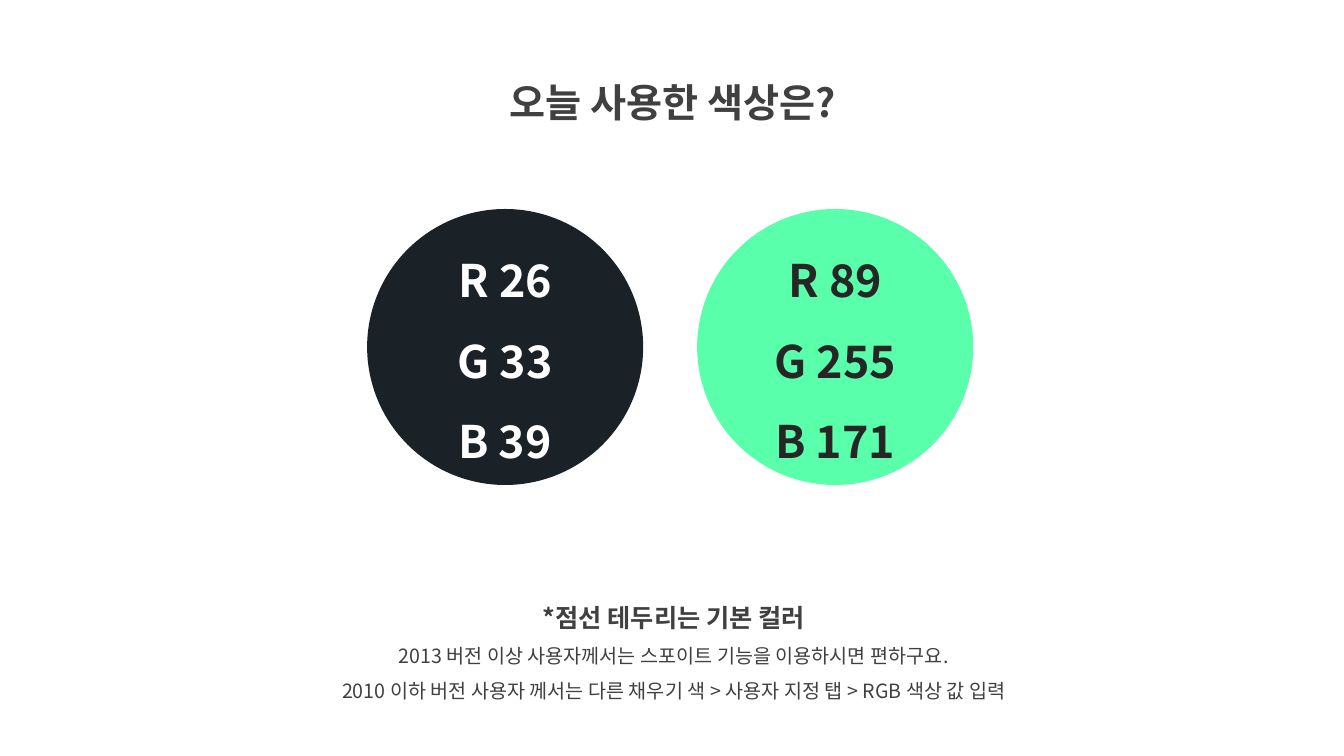
import pptx
import pptx.dml.color
import pptx.enum.shapes
import pptx.enum.text
import pptx.oxml.ns
import pptx.util
from lxml import etree


def color(value):
    return pptx.dml.color.RGBColor.from_string(value)


def px(n):
    return pptx.util.Emu(round(n * 914400 / 100.8))


class Deck:
    font = "Noto Sans CJK KR"
    ink = "404040"
    spacing = 1.5

    def __init__(self):
        self.prs = pptx.Presentation()
        self.prs.slide_width = pptx.util.Inches(13.33)
        self.prs.slide_height = pptx.util.Inches(7.5)
        self.s = self.prs.slides.add_slide(self.prs.slide_layouts[6])

    def fill_text(self, tf, lines, ink):
        tf.word_wrap = True
        for i, (text, size, bold) in enumerate(lines):
            p = tf.add_paragraph() if i else tf.paragraphs[0]
            p.text = text
            p.alignment = pptx.enum.text.PP_ALIGN.CENTER
            p.line_spacing = self.spacing
            p.font.name = self.font
            p.font.size = pptx.util.Pt(size)
            p.font.bold = bold
            p.font.color.rgb = color(ink)
            latin = p.font._element.find(pptx.oxml.ns.qn("a:latin"))
            ea = etree.Element(pptx.oxml.ns.qn("a:ea"), typeface=self.font)
            latin.addnext(ea)

    def text(self, x, y, w, h, lines):
        sp = self.s.shapes.add_textbox(px(x), px(y), px(w), px(h))
        tf = sp.text_frame
        tf.auto_size = pptx.enum.text.MSO_AUTO_SIZE.SHAPE_TO_FIT_TEXT
        self.fill_text(tf, lines, self.ink)

    def circle(self, x, y, d, fill, lines, ink):
        oval = pptx.enum.shapes.MSO_SHAPE.OVAL
        sp = self.s.shapes.add_shape(oval, px(x), px(y), px(d), px(d))
        sp.shadow.inherit = False
        sp.fill.solid()
        sp.fill.fore_color.rgb = color(fill)
        sp.line.fill.background()
        sp.text_frame.vertical_anchor = pptx.enum.text.MSO_ANCHOR.MIDDLE
        self.fill_text(sp.text_frame, lines, ink)


def main():
    deck = Deck()
    deck.text(439, 50, 467, 73, [("오늘 사용한 색상은?", 28, True)])
    deck.text(271, 582, 805, 127, [
        ("*점선 테두리는 기본 컬러", 18, True),
        ("2013 버전 이상 사용자께서는 스포이트 기능을 이용하시면 편하구요.", 14, False),
        ("2010 이하 버전 사용자 께서는 다른 채우기 색 > 사용자 지정 탭 > RGB 색상 값 입력", 14, False),
    ])
    swatches = [(367, "1A2127", "FFFFFF"), (697, "59FFAB", "262626")]
    for x, fill, ink in swatches:
        channels = zip("RGB", color(fill))
        lines = [(f"{name} {value}", 32, True) for name, value in channels]
        deck.circle(x, 209, 276, fill, lines, ink)
    deck.prs.save("out.pptx")


if __name__ == "__main__":
    main()
